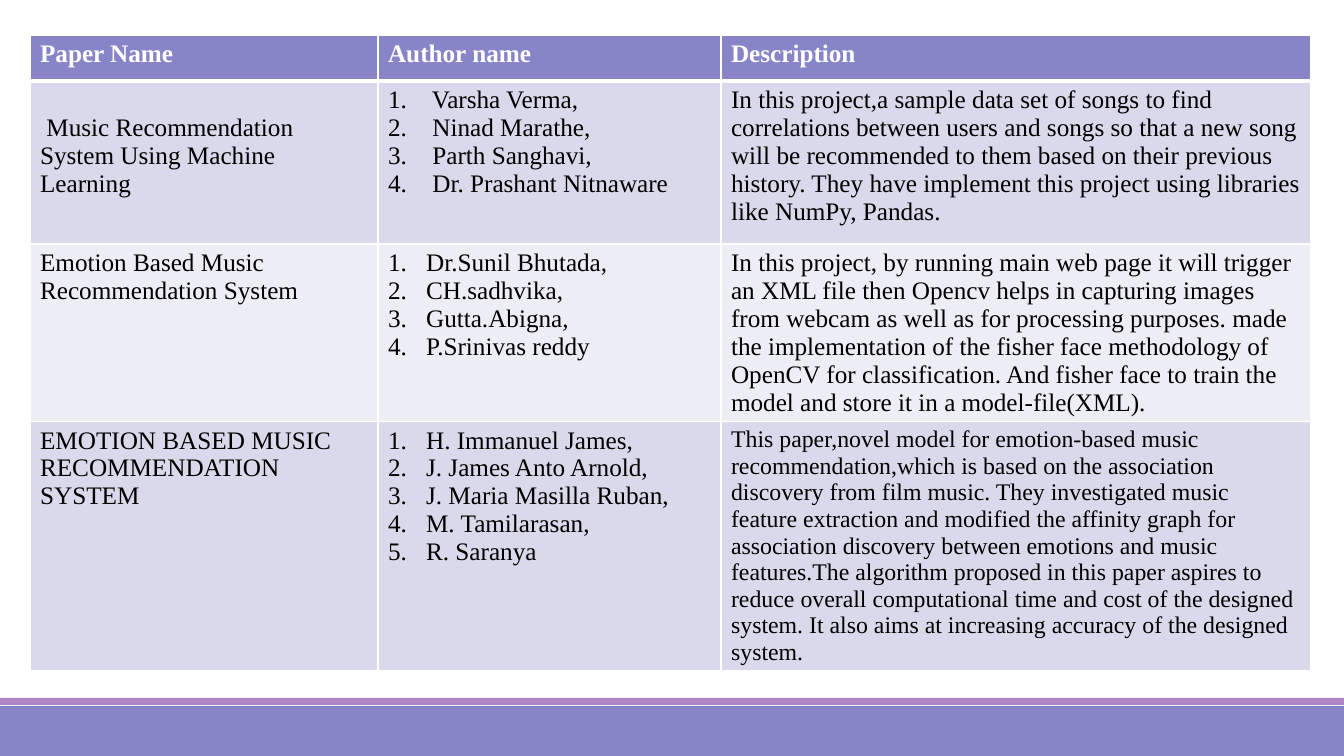
from lxml.etree import SubElement
from pptx import Presentation
from pptx.dml.color import RGBColor
from pptx.enum.shapes import MSO_SHAPE as Shape
from pptx.oxml.ns import qn
from pptx.util import Emu, Pt

SLIDE_W, SLIDE_H = 1344, 756
SCALE = 12192000 / SLIDE_W
PURPLE, MAUVE, WHITE, BLACK = "8784C7", "AD84C6", "FFFFFF", "000000"
BANDS = ["D9D9EB", "EDEDF5"]


def px(n):
    return Emu(round(n * SCALE))


def rgb(hex_string):
    return RGBColor.from_string(hex_string)


def write(p, text, size=18, color=BLACK, bold=False, font="Times New Roman"):
    r = p.add_run()
    r.text = text
    r.font.name, r.font.size, r.font.bold = font, Pt(size), bold
    r.font.color.rgb = rgb(color)


def number(p, indent=38):
    pPr = p._p.get_or_add_pPr()
    pPr.set("marL", str(px(indent)))
    pPr.set("indent", str(-px(indent)))
    SubElement(pPr, qn("a:buFont"), typeface="+mj-lt")
    SubElement(pPr, qn("a:buAutoNum"), type="arabicPeriod")


class SlideBuilder:
    def __init__(self, prs):
        self.s = prs.slides.add_slide(prs.slide_layouts[6])

    def bar(self, top, height, color):
        sp = self.s.shapes.add_shape(Shape.RECTANGLE, 0, px(top), px(SLIDE_W), px(height))
        sp.shadow.inherit = False
        sp.fill.solid()
        sp.fill.fore_color.rgb = rgb(color)
        sp.line.fill.background()

    def table(self, left, top, widths, heights):
        frame = self.s.shapes.add_table(len(heights), len(widths), px(left), px(top),
                                        px(sum(widths)), px(sum(heights)))
        tbl = frame.table
        for col, w in zip(tbl.columns, widths):
            col.width = px(w)
        for row, h in zip(tbl.rows, heights):
            row.height = px(h)
        return tbl

    def cell(self, cell, content, fill, top_line=1, bottom_line=1, **fmt):
        """A list of texts becomes a numbered list."""
        tcPr = cell._tc.get_or_add_tcPr()
        for side, width in zip("LRTB", (1, 1, top_line, bottom_line)):
            ln = SubElement(tcPr, qn(f"a:ln{side}"), w=str(Pt(width)))
            SubElement(SubElement(ln, qn("a:solidFill")), qn("a:srgbClr"), val=WHITE)
        cell.fill.solid()
        cell.fill.fore_color.rgb = rgb(fill)
        numbered = isinstance(content, list)
        tf = cell.text_frame
        for i, text in enumerate(content if numbered else [content]):
            p = tf.add_paragraph() if i else tf.paragraphs[0]
            if numbered:
                number(p)
            write(p, text, **fmt)


HEADINGS = ["Paper Name", "Author name", "Description"]
PAPERS = [
    (" Music Recommendation System Using Machine Learning",
     [" Varsha Verma,", " Ninad Marathe,", " Parth Sanghavi,", " Dr. Prashant Nitnaware"],
     "In this project,a sample data set of songs to find correlations between users and songs "
     "so that a new song will be recommended to them based on their previous history. They have "
     "implement this project using libraries like NumPy, Pandas."),
    ("Emotion Based Music Recommendation System",
     ["Dr.Sunil Bhutada,", "CH.sadhvika,", "Gutta.Abigna,", "P.Srinivas reddy"],
     "In this project, by running main web page it will trigger an XML file then Opencv helps in "
     "capturing images from webcam as well as for processing purposes. made the implementation "
     "of the fisher face methodology of OpenCV for classification. And fisher face to train the "
     "model and store it in a model-file(XML)."),
    ("EMOTION BASED MUSIC RECOMMENDATION SYSTEM",
     ["H. Immanuel James,", "J. James Anto Arnold,", "J. Maria Masilla Ruban,",
      "M. Tamilarasan,", "R. Saranya"],
     "This paper,novel model for emotion-based music recommendation,which is based on the "
     "association discovery from film music. They investigated music feature extraction and "
     "modified the affinity graph for association discovery between emotions and music "
     "features.The algorithm proposed in this paper aspires to reduce overall computational time "
     "and cost of the designed system. It also aims at increasing accuracy of the designed "
     "system."),
]


def main():
    prs = Presentation()
    prs.slide_width, prs.slide_height = px(SLIDE_W), px(SLIDE_H)
    builder = SlideBuilder(prs)

    # Footer bars
    builder.bar(706, 50, PURPLE)
    builder.bar(698, 7, MAUVE)

    # Literature table: header row, then one banded row per paper
    tbl = builder.table(30, 35, [348, 343, 590], [46, 163, 177, 249])
    for col, heading in enumerate(HEADINGS):
        builder.cell(tbl.cell(0, col), heading, PURPLE, bottom_line=3, color=WHITE, bold=True)
    for row, paper in enumerate(PAPERS, 1):
        for col, content in enumerate(paper):
            builder.cell(tbl.cell(row, col), content, BANDS[(row - 1) % 2],
                         top_line=3 if row == 1 else 1,
                         size=17 if (row, col) == (3, 2) else 18)

    # The first paper's name starts one line lower
    tbl.cell(1, 0).margin_top = px(33)

    prs.save("out.pptx")


if __name__ == "__main__":
    main()
